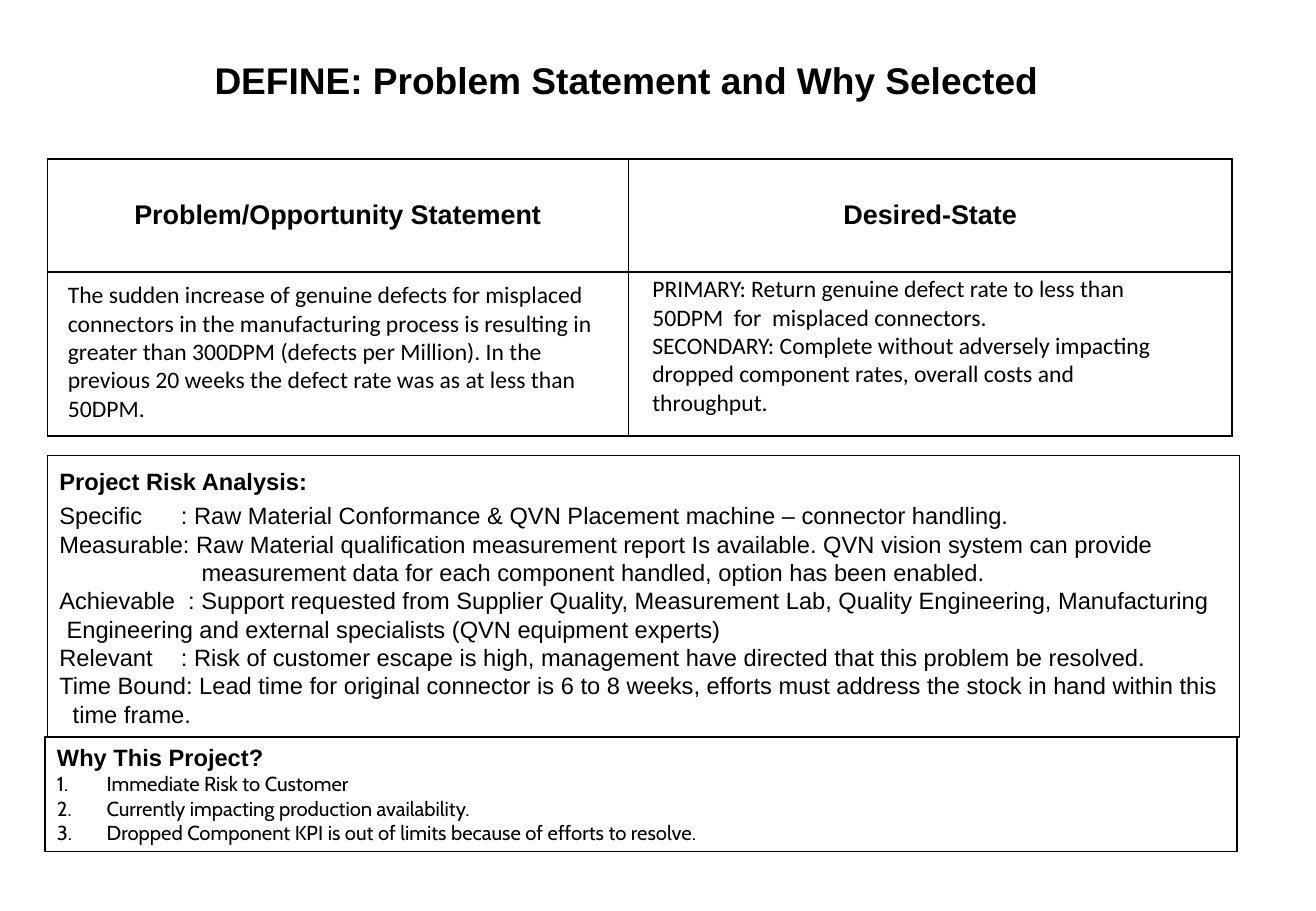
"""Builds the DEFINE slide: problem statement, desired state, project risks and reasons."""
from lxml.etree import SubElement
from pptx import Presentation
from pptx.dml.color import RGBColor
from pptx.enum.shapes import MSO_SHAPE as Shape
from pptx.enum.text import MSO_ANCHOR as Anchor, PP_ALIGN as Align
from pptx.oxml.ns import qn
from pptx.util import Inches, Pt

COLORS = {"ink": "000000", "paper": "FFFFFF"}
STYLES = {
    "title": {"name": "Arial", "size": Pt(22), "bold": True},
    "header": {"name": "Arial", "size": Pt(16), "bold": True},
    "heading": {"name": "Arial", "size": Pt(14), "bold": True},
    "risk": {"name": "Arial", "size": Pt(14), "bold": False},
    "reason": {"name": "Cabin", "size": Pt(12), "bold": False},
    "statement": {"name": "Calibri", "size": Pt(14), "bold": False},
}
STATEMENTS = [
    (5.27, 2.2, ["PRIMARY: Return genuine defect rate to less than 50DPM  for  misplaced connectors.",
                 "SECONDARY: Complete without adversely impacting dropped component rates, "
                 "overall costs and throughput."]),
    (0.46, 2.25, ["The sudden increase of genuine defects for misplaced connectors in the manufacturing "
                  "process is resulting in greater than 300DPM (defects per Million). In the previous "
                  "20 weeks the defect rate was as at less than 50DPM."]),
]
RISKS = [
    (0, 1.2, "Specific\t: Raw Material Conformance & QVN Placement machine – connector handling."),
    (1.17, 1, "Measurable: Raw Material qualification measurement report Is available. QVN vision system "
              "can provide measurement data for each component handled, option has been enabled."),
    (0.06, 1, "Achievable\t: Support requested from Supplier Quality, Measurement Lab, Quality Engineering, "
              "Manufacturing Engineering and external specialists (QVN equipment experts)"),
    (0, 1, "Relevant\t: Risk of customer escape is high, management have directed that this problem "
           "be resolved."),
    (0.11, 1, "Time Bound: Lead time for original connector is 6 to 8 weeks, efforts must address the "
              "stock in hand within this time frame."),
]
REASONS = [
    "Immediate Risk to Customer",
    "Currently impacting production availability.",
    "Dropped Component KPI is out of limits because of efforts to resolve.",
]


def write(frame, text, style, align=Align.LEFT, spacing=1, hang=0):
    """Adds one paragraph to the frame and returns its properties element."""
    para = frame.paragraphs[0]
    if para.runs:
        para = frame.add_paragraph()
    para.alignment, para.line_spacing = align, spacing
    span = para.add_run()
    span.text = text
    for key, value in STYLES[style].items():
        setattr(span.font, key, value)
    span.font.color.rgb = RGBColor.from_string(COLORS["ink"])
    properties = para._p.get_or_add_pPr()
    properties.set("marL", str(Inches(hang)))
    properties.set("indent", str(-Inches(hang)))
    return properties


def add_panel(left, top, width, height):
    """Adds an outlined rectangle and returns its text frame."""
    panel = page.shapes.add_shape(Shape.RECTANGLE, *map(Inches, (left, top, width, height)))
    panel.shadow.inherit = False
    panel.fill.background()
    panel.line.color.rgb = RGBColor.from_string(COLORS["ink"])
    panel.line.width = Pt(1)
    panel.text_frame.word_wrap = True
    panel.text_frame.vertical_anchor = Anchor.TOP
    return panel.text_frame


deck = Presentation()
deck.slide_width, deck.slide_height = Inches(10.83), Inches(7.5)
page = deck.slides.add_slide(deck.slide_layouts[6])

title = page.shapes.add_textbox(Inches(0.38), Inches(0.29), Inches(9.55), Inches(0.68)).text_frame
title.word_wrap = True
for side in ("left", "top", "right", "bottom"):
    setattr(title, f"margin_{side}", 0)
write(title, "DEFINE: Problem Statement and Why Selected", "title", Align.CENTER, 1.5)

table = page.shapes.add_table(2, 2, Inches(0.39), Inches(1.31), Inches(9.75), Inches(2.28)).table
for column, width in zip(table.columns, (4.78, 4.97)):
    column.width = Inches(width)
for row, height in zip(table.rows, (0.93, 1.35)):
    row.height = Inches(height)
for cell in table.iter_cells():
    for edge in ("a:lnL", "a:lnR", "a:lnT", "a:lnB"):
        border = SubElement(cell._tc.get_or_add_tcPr(), qn(edge), w=str(Pt(1)))
        SubElement(SubElement(border, qn("a:solidFill")), qn("a:srgbClr"), val=COLORS["ink"])
    cell.fill.solid()
    cell.fill.fore_color.rgb = RGBColor.from_string(COLORS["paper"])
    cell.vertical_anchor = Anchor.MIDDLE
    for side in ("left", "top", "right", "bottom"):
        setattr(cell, f"margin_{side}", 0)
for column, header in enumerate(("Problem/Opportunity Statement", "Desired-State")):
    write(table.cell(0, column).text_frame, header, "header", Align.CENTER)

risk_frame = add_panel(0.39, 3.75, 9.81, 2.32)
write(risk_frame, "Project Risk Analysis:", "heading", spacing=1.2)
for hang, spacing, risk in RISKS:
    properties = write(risk_frame, risk, "risk", spacing=spacing, hang=hang)
    if "\t" in risk:
        tabs = SubElement(properties, qn("a:tabLst"))
        SubElement(tabs, qn("a:tab"), pos=str(Inches(1 - hang)), algn="l")

reason_frame = add_panel(0.37, 6.07, 9.81, 0.94)
write(reason_frame, "Why This Project?", "heading")
for reason in REASONS:
    properties = write(reason_frame, reason, "reason", hang=0.41)
    SubElement(properties, qn("a:buAutoNum"), type="arabicPeriod")

for left, top, sentences in STATEMENTS:
    frame = page.shapes.add_textbox(Inches(left), Inches(top), Inches(4.64), Inches(1.28)).text_frame
    frame.word_wrap = True
    frame.vertical_anchor = Anchor.MIDDLE
    for sentence in sentences:
        write(frame, sentence, "statement")

deck.save("out.pptx")
